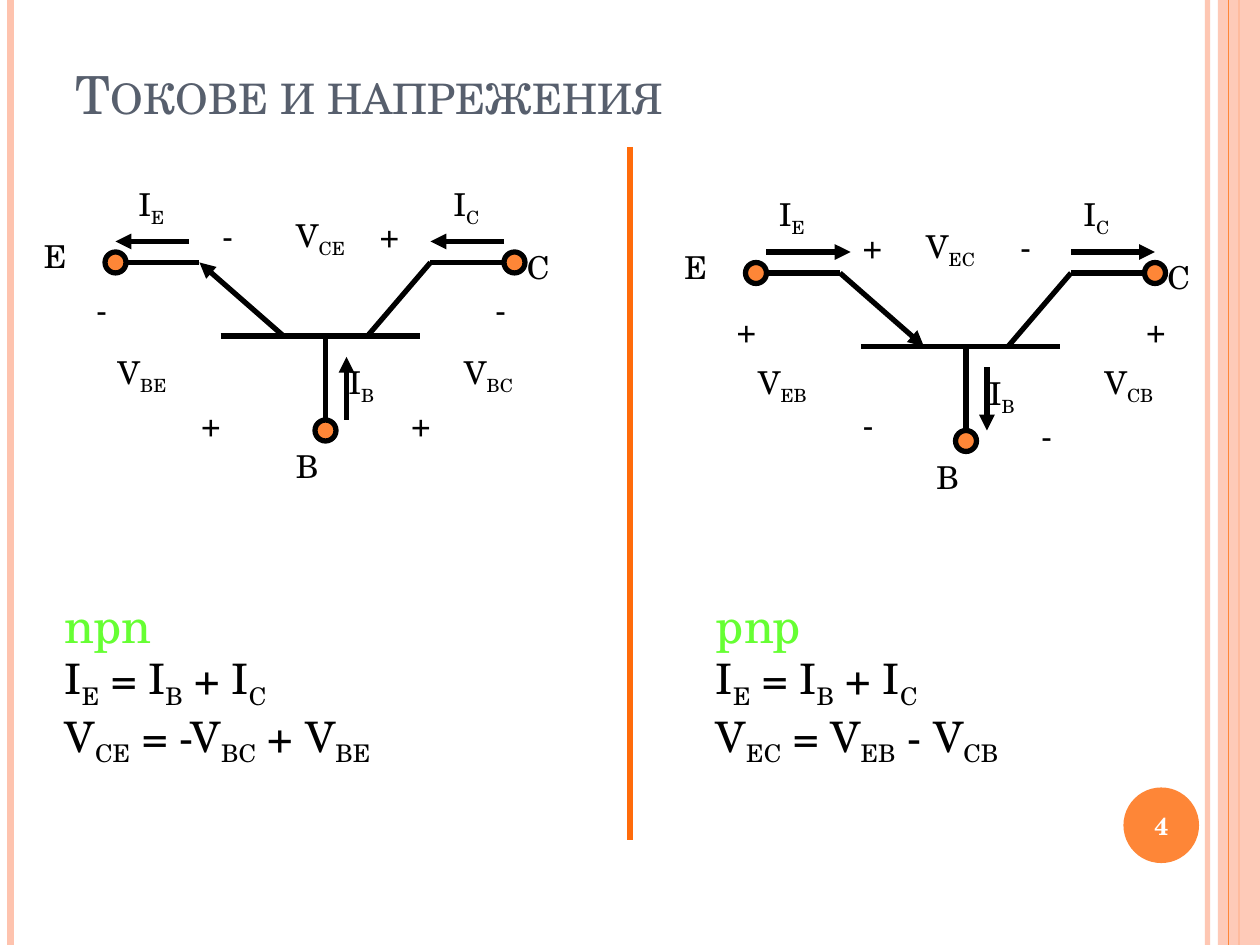
from lxml.etree import SubElement
from pptx import Presentation
from pptx.dml.color import RGBColor
from pptx.enum.shapes import MSO_CONNECTOR, MSO_SHAPE
from pptx.enum.text import MSO_ANCHOR, MSO_AUTO_SIZE, PP_ALIGN
from pptx.oxml.ns import qn
from pptx.util import Pt

FONT = "TeX Gyre Schola"
BLACK = RGBColor(0x00, 0x00, 0x00)
WHITE = RGBColor(0xFF, 0xFF, 0xFF)
SLATE = RGBColor(0x57, 0x5F, 0x6D)
ORANGE = RGBColor(0xFE, 0x86, 0x37)
DEEP_ORANGE = RGBColor(0xFF, 0x6B, 0x0A)
PEACH = RGBColor(0xFE, 0xC3, 0xAE)
GREEN = RGBColor(0x66, 0xFF, 0x33)

PAGE_WIDTH, PAGE_HEIGHT = 720, 540
LABEL_HEIGHT = 31
WIDE, NARROW = 48, 30
NODE = 12

# Each label is its offset in the circuit, its width and its text with subscript.
SHARED_LABELS = [
    (144, 150, WIDE, ["B"]),
    (276, 36, WIDE, ["C"]),
    (0, 30, WIDE, ["E"]),
    (54, 0, WIDE, ["I", "E"]),
    (174, 102, WIDE, ["I", "B"]),
]
NPN_LABELS = [
    (234, 0, WIDE, ["I", "C"]),
    (42, 96, WIDE, ["V", "BE"]),
    (240, 96, WIDE, ["V", "BC"]),
    (144, 18, WIDE, ["V", "CE"]),
    (30, 60, NARROW, ["-"]),
    (90, 126, NARROW, ["+"]),
    (210, 126, NARROW, ["+"]),
    (258, 60, NARROW, ["-"]),
    (192, 18, NARROW, ["+"]),
    (102, 18, NARROW, ["-"]),
]
PNP_LABELS = [
    (228, 0, WIDE, ["I", "C"]),
    (42, 96, WIDE, ["V", "EB"]),
    (240, 96, WIDE, ["V", "CB"]),
    (138, 18, WIDE, ["V", "EC"]),
    (30, 66, NARROW, ["+"]),
    (102, 120, NARROW, ["-"]),
    (204, 126, NARROW, ["-"]),
    (264, 66, NARROW, ["+"]),
    (192, 18, NARROW, ["-"]),
    (102, 18, NARROW, ["+"]),
]
# Arrows: emitter leg, then the emitter, collector and base currents.
NPN_ARROWS = [
    (144, 90, 96, 48),
    (90, 36, 48, 36),
    (270, 36, 228, 36),
    (180, 138, 180, 102),
]
PNP_ARROWS = [
    (96, 48, 144, 90),
    (54, 36, 102, 36),
    (228, 36, 276, 36),
    (180, 102, 180, 138),
]
WIRES = [
    (108, 90, 222, 90),
    (96, 48, 54, 48),
    (192, 90, 228, 48),
    (270, 48, 228, 48),
    (168, 90, 168, 138),
]
NODES = [(162, 138), (270, 42), (42, 42)]

CURRENT_SUM = ["I", "E", " = I", "B", " + I", "C"]
NPN_VOLTAGES = ["V", "CE", " = -V", "BC", " + V", "BE"]
PNP_VOLTAGES = ["V", "EC", " = V", "EB", " - V", "CB"]


def set_opacity(element, percent):
    for color in element.iter(qn("a:srgbClr")):
        SubElement(color, qn("a:alpha"), val=str(percent * 1000))


def add_line(page, x1, y1, x2, y2, color=BLACK, width=3, arrow=False):
    line = page.shapes.add_connector(
        MSO_CONNECTOR.STRAIGHT, Pt(x1), Pt(y1), Pt(x2), Pt(y2))
    line.line.color.rgb = color
    line.line.width = Pt(width)
    properties = line._element.spPr
    if arrow:
        SubElement(properties.find(qn("a:ln")), qn("a:tailEnd"), type="triangle")
    SubElement(properties, qn("a:effectLst"))
    return line


def add_shape(page, kind, left, top, width, height, color, outline=None):
    shape = page.shapes.add_shape(kind, Pt(left), Pt(top), Pt(width), Pt(height))
    shape.shadow.inherit = False
    shape.fill.solid()
    shape.fill.fore_color.rgb = color
    if outline is None:
        shape.line.fill.background()
    else:
        shape.line.color.rgb = outline
        shape.line.width = Pt(3)
    return shape


def add_spans(para, parts, size, color=BLACK, bold=False):
    """Write the parts as runs; every second one is a subscript."""
    for index, part in enumerate(parts):
        span = para.add_run()
        span.text = part
        span.font.name = FONT
        span.font.size = Pt(size)
        span.font.bold = bold
        span.font.color.rgb = color
        if index % 2:
            span.font._element.set("baseline", "-25000")


def add_text_box(page, left, top, width, height):
    box = page.shapes.add_textbox(Pt(left), Pt(top), Pt(width), Pt(height))
    box.text_frame.word_wrap = True
    return box.text_frame


def add_side_bands(page):
    outer = add_line(page, 690, 0, 690, PAGE_HEIGHT, PEACH, 3)
    set_opacity(outer._element, 93)
    add_line(page, 6, 0, 6, PAGE_HEIGHT, PEACH, 4.5)
    add_line(page, 708, 0, 708, PAGE_HEIGHT, ORANGE, 1.5)
    band = add_shape(page, MSO_SHAPE.RECTANGLE, 696, 0, 24, PAGE_HEIGHT, PEACH)
    set_opacity(band._element, 87)
    add_line(page, 702, 0, 702, PAGE_HEIGHT, ORANGE, 0.75)


def add_page_number(page, left, top, size, number):
    add_shape(page, MSO_SHAPE.OVAL, left, top, size, size, ORANGE)
    frame = add_text_box(page, left - 2.4, top + 1.2, size + 4.8, size - 2.4)
    frame.vertical_anchor = MSO_ANCHOR.MIDDLE
    frame.margin_left = frame.margin_right = Pt(3)
    frame.margin_top = frame.margin_bottom = Pt(3)
    para = frame.paragraphs[0]
    para.alignment = PP_ALIGN.CENTER
    add_spans(para, [number], 14, WHITE, bold=True)


def fill_title(page, left, top, width, height, text):
    title = page.shapes.title
    title.left, title.top = Pt(left), Pt(top)
    title.width, title.height = Pt(width), Pt(height)
    frame = title.text_frame
    frame.auto_size = MSO_AUTO_SIZE.NONE
    frame.vertical_anchor = MSO_ANCHOR.BOTTOM
    frame.margin_bottom = Pt(40)
    para = frame.paragraphs[0]
    para.alignment = PP_ALIGN.LEFT
    add_spans(para, [text], 30, SLATE)
    para.runs[0].font._element.set("cap", "small")


def add_circuit(page, left, top, arrows, labels):
    for lines, is_arrow in ((WIRES, False), (arrows, True)):
        for x1, y1, x2, y2 in lines:
            add_line(page, left + x1, top + y1, left + x2, top + y2, arrow=is_arrow)
    for x, y in NODES:
        add_shape(page, MSO_SHAPE.OVAL, left + x, top + y, NODE, NODE, ORANGE, BLACK)
    for x, y, width, parts in SHARED_LABELS + labels:
        frame = add_text_box(page, left + x, top + y, width, LABEL_HEIGHT)
        add_spans(frame.paragraphs[0], parts, 18)


def add_equations(page, left, top, name, voltages):
    frame = add_text_box(page, left, top, 306, 127.5)
    add_spans(frame.paragraphs[0], [name], 28, GREEN)
    for equation in (CURRENT_SUM, voltages):
        add_spans(frame.add_paragraph(), equation, 24)


def main():
    deck = Presentation()
    deck.slide_width, deck.slide_height = Pt(PAGE_WIDTH), Pt(PAGE_HEIGHT)
    page = deck.slides.add_slide(deck.slide_layouts[5])
    add_side_bands(page)
    add_page_number(page, 642, 450, 43.2, "4")
    fill_title(page, 36, 21.6, 588, 90, "Токове и напрежения")
    add_circuit(page, 18, 102, NPN_ARROWS, NPN_LABELS)
    add_circuit(page, 384, 108, PNP_ARROWS, PNP_LABELS)
    add_line(page, 360, 84, 360, 480, DEEP_ORANGE)
    add_equations(page, 30, 336, "npn", NPN_VOLTAGES)
    add_equations(page, 402, 336, "pnp", PNP_VOLTAGES)
    deck.save("out.pptx")


if __name__ == "__main__":
    main()
